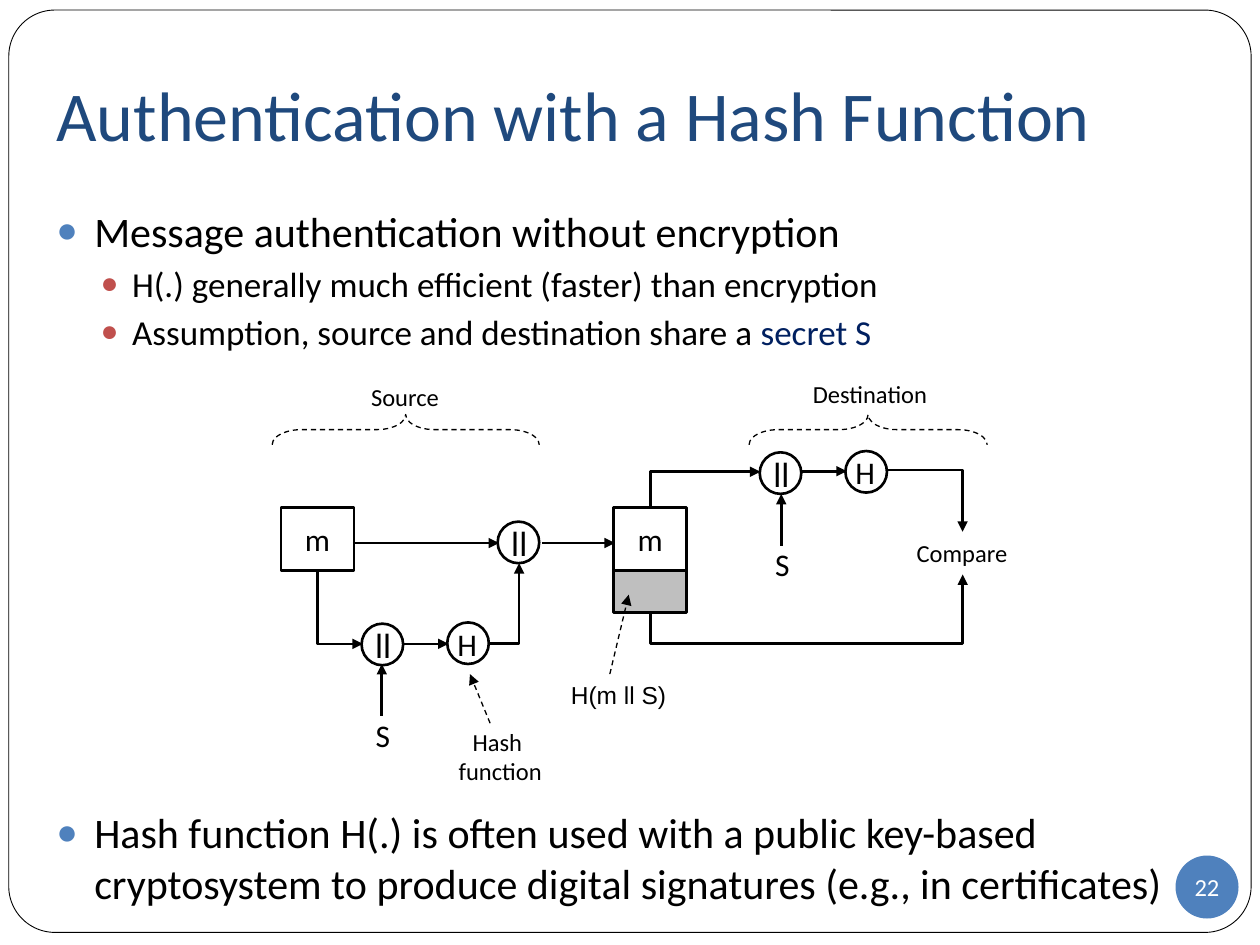
from dataclasses import dataclass

from lxml import etree
from pptx import Presentation
from pptx import util as u
from pptx.dml.color import RGBColor
from pptx.enum import dml, shapes, text
from pptx.oxml import ns


@dataclass(frozen=True)
class Theme:
    font: str = "Calibri"
    formula_font: str = "Arial"
    black: str = "000000"
    white: str = "FFFFFF"
    title: str = "1F497D"
    secret: str = "002060"
    digest: str = "BFBFBF"
    accent: str = "4F81BD"
    sub_bullet: str = "C0504D"
    title_size: int = 40
    body_size: int = 24
    sub_size: int = 20
    node_size: int = 18
    note_size: int = 14
    thick: float = 1.5
    thin: float = 0.75
    frame: float = 0.5


THEME = Theme()
SHAPE = shapes.MSO_SHAPE
ALIGN = text.PP_ALIGN
NODE = 0.33
INSETS = (0.1, 0.05, 0.1, 0.05)


def color(value):
    return RGBColor.from_string(value)


def inches(*values):
    return [u.Inches(value) for value in values]


def add_run(paragraph, words, size, ink=THEME.black, font=THEME.font):
    run = paragraph.add_run()
    run.text = words
    run.font.name = font
    run.font.size = u.Pt(size)
    run.font.color.rgb = color(ink)


def set_frame(frame, insets, anchor, wrap):
    (frame.margin_left, frame.margin_top,
     frame.margin_right, frame.margin_bottom) = inches(*insets)
    frame.vertical_anchor = anchor
    frame.word_wrap = wrap


def add_label(slide, box, lines, size, ink=THEME.black, font=THEME.font,
              align=ALIGN.CENTER, insets=INSETS, anchor=text.MSO_ANCHOR.TOP):
    frame = slide.shapes.add_textbox(*inches(*box)).text_frame
    set_frame(frame, insets, anchor, True)
    for index, words in enumerate(lines):
        paragraph = frame.add_paragraph() if index else frame.paragraphs[0]
        paragraph.alignment = align
        add_run(paragraph, words, size, ink, font)


def add_outline(slide, preset, box, fill=None, weight=THEME.thick):
    outline = slide.shapes.add_shape(preset, *inches(*box))
    outline.shadow.inherit = False
    if fill:
        outline.fill.solid()
        outline.fill.fore_color.rgb = color(fill)
    else:
        outline.fill.background()
    if weight:
        outline.line.color.rgb = color(THEME.black)
        outline.line.width = u.Pt(weight)
    else:
        outline.line.fill.background()
    return outline


def write_inside(outline, words, size, ink=THEME.black, align=ALIGN.CENTER,
                 insets=INSETS, wrap=True):
    set_frame(outline.text_frame, insets, text.MSO_ANCHOR.MIDDLE, wrap)
    paragraph = outline.text_frame.paragraphs[0]
    paragraph.alignment = align
    add_run(paragraph, words, size, ink)


def add_message(slide, left):
    message = add_outline(slide, SHAPE.RECTANGLE, (left, 4.03, 0.58, 0.5))
    write_inside(message, "m", THEME.node_size)


def add_concat(slide, left, top):
    concat = add_outline(slide, SHAPE.OVAL, (left, top, NODE, NODE))
    write_inside(concat, "ll", THEME.sub_size, align=ALIGN.LEFT,
                 insets=(0.06, 0.05, 0.1, 0.05), wrap=False)


def add_hash(slide, left, top):
    add_label(slide, (left, top - 0.03, 0.34, 0.4), ["H"], THEME.node_size,
              align=ALIGN.LEFT, insets=(0.08, 0.05, 0.1, 0.05))
    add_outline(slide, SHAPE.OVAL, (left, top, NODE, NODE))


def add_brace(slide, name, center, span, label_left, label_top):
    add_label(slide, (label_left, label_top, 1.63, 0.34), [name], THEME.note_size)
    depth = 0.24
    brace = add_outline(slide, SHAPE.RIGHT_BRACE,
                        (center - depth / 2, 3.41 - span / 2, depth, span),
                        weight=THEME.thin)
    brace.rotation = 270
    brace.adjustments[0] = 0.96
    brace.line.dash_style = dml.MSO_LINE.DASH


def style_arrow(arrow, dashed=False):
    arrow.line.color.rgb = color(THEME.black)
    arrow.line.width = u.Pt(THEME.thin if dashed else THEME.thick)
    if dashed:
        arrow.line.dash_style = dml.MSO_LINE.DASH
    properties = arrow.element.spPr
    etree.SubElement(properties.find(ns.qn("a:ln")), ns.qn("a:tailEnd"), type="triangle")
    etree.SubElement(properties, ns.qn("a:effectLst"))


def add_arrow(slide, start, end, dashed=False):
    arrow = slide.shapes.add_connector(shapes.MSO_CONNECTOR.STRAIGHT,
                                       *inches(*start, *end))
    style_arrow(arrow, dashed)


def add_elbow(slide, box, rotation=0, flips=(), bend=None):
    left, top, width, height = box
    elbow = slide.shapes.add_connector(shapes.MSO_CONNECTOR.ELBOW,
                                       *inches(left, top, left + width, top + height))
    frame = elbow.element.spPr.find(ns.qn("a:xfrm"))
    frame.set("rot", str(rotation * 60000))
    for flip in flips:
        frame.set(flip, "1")
    geometry = elbow.element.spPr.find(ns.qn("a:prstGeom"))
    if bend is None:
        geometry.set("prst", "bentConnector2")
    else:
        guides = geometry.find(ns.qn("a:avLst"))
        etree.SubElement(guides, ns.qn("a:gd"), name="adj1",
                         fmla=f"val {round(bend * 100000)}")
    style_arrow(elbow)


def add_bullet(paragraph, runs, level, before):
    indent, hanging, ink, size = (
        (0.6, 0.25, THEME.sub_bullet, THEME.sub_size) if level
        else (0.3, 0.3, THEME.accent, THEME.body_size))
    paragraph.level = level
    properties = paragraph._p.get_or_add_pPr()
    properties.set("marL", str(u.Inches(indent)))
    properties.set("indent", str(-u.Inches(hanging)))
    bullet_color = etree.SubElement(properties, ns.qn("a:buClr"))
    etree.SubElement(bullet_color, ns.qn("a:srgbClr"), val=ink)
    etree.SubElement(properties, ns.qn("a:buSzPct"), val="85000")
    etree.SubElement(properties, ns.qn("a:buFont"), typeface=THEME.formula_font)
    etree.SubElement(properties, ns.qn("a:buChar"), char="●")
    if before:
        paragraph.space_before = u.Pt(before)
    for words, run_ink in runs:
        add_run(paragraph, words, size, run_ink)


def add_points(slide):
    frame = slide.shapes.add_textbox(*inches(0.35, 1.58, 9.37, 5.63)).text_frame
    set_frame(frame, INSETS, text.MSO_ANCHOR.TOP, True)
    points = [
        (0, 0, [("Message authentication without encryption", THEME.black)]),
        (1, 3.7, [("H(.) generally much efficient (faster) than encryption", THEME.black)]),
        (1, 3.7, [("Assumption, source and destination share a ", THEME.black),
                  ("secret S", THEME.secret)]),
        (0, 259.5, [("Hash function H(.) is often used with a public key-based "
                     "cryptosystem to produce digital signatures "
                     "(e.g., in certificates)", THEME.black)]),
    ]
    for index, (level, before, runs) in enumerate(points):
        paragraph = frame.add_paragraph() if index else frame.paragraphs[0]
        add_bullet(paragraph, runs, level, before)


def add_diagram(slide):
    for left in (2.23, 4.87):
        add_message(slide, left)
    add_outline(slide, SHAPE.RECTANGLE, (4.87, 4.53, 0.58, 0.33), THEME.digest)
    for left, top in ((3.95, 4.14), (2.87, 4.95), (6.03, 3.59)):
        add_concat(slide, left, top)
    for left, top in ((3.55, 4.94), (6.71, 3.58)):
        add_hash(slide, left, top)
    for left, top in ((2.81, 5.63), (5.98, 4.28)):
        add_label(slide, (left, top, 0.46, 0.4), ["S"], THEME.node_size)
        add_arrow(slide, (left + 0.22, top + 0.05), (left + 0.22, top - 0.36))
    for start, end, y in ((2.8, 3.96, 4.31), (4.3, 4.88, 4.31),
                          (3.2, 3.56, 5.11), (6.36, 6.72, 3.74)):
        add_arrow(slide, (start, y), (end, y))
    add_elbow(slide, (2.41, 4.64, 0.58, 0.36), 270, ("flipH",))
    add_elbow(slide, (3.89, 4.47, 0.23, 0.64), 0, ("flipV",))
    add_elbow(slide, (5.46, 3.45, 0.28, 0.87), 90, ("flipH", "flipV"))
    add_elbow(slide, (7.04, 3.73, 0.6, 0.49))
    add_elbow(slide, (6.25, 3.47, 0.3, 2.48), 90, ("flipH", "flipV"), bend=-0.83)
    add_brace(slide, "Source", 3.22, 2.12, 2.4, 2.98)
    add_brace(slide, "Destination", 6.89, 1.89, 6.09, 2.96)
    add_label(slide, (7.12, 4.22, 1.03, 0.34), ["Compare"], THEME.note_size,
              insets=(0, 0.05, 0, 0.05))
    add_label(slide, (3.5, 5.72, 0.94, 0.57), ["Hash ", "function"], THEME.note_size)
    add_label(slide, (4.36, 5.35, 1.1, 0.34), ["H(m ll S)"], THEME.note_size,
              font=THEME.formula_font)
    add_arrow(slide, (3.89, 5.74), (3.73, 5.35), dashed=True)
    add_arrow(slide, (4.84, 5.35), (4.99, 4.72), dashed=True)


def main():
    deck = Presentation()
    deck.slide_width, deck.slide_height = inches(10, 7.5)
    slide = deck.slides.add_slide(deck.slide_layouts[6])
    border = add_outline(slide, SHAPE.ROUNDED_RECTANGLE, (0.07, 0.08, 9.86, 7.32),
                         THEME.white, THEME.frame)
    border.adjustments[0] = 0.05
    add_points(slide)
    add_label(slide, (0.35, 0.3, 9.37, 1.25), ["Authentication with a Hash Function"],
              THEME.title_size, THEME.title, align=ALIGN.LEFT,
              insets=(0.1, 0.05, 0.1, 0.1), anchor=text.MSO_ANCHOR.MIDDLE)
    page = add_outline(slide, SHAPE.OVAL, (9.33, 6.79, 0.5, 0.5), THEME.accent, None)
    write_inside(page, "22", THEME.note_size, THEME.white, insets=(0, 0, 0, 0), wrap=False)
    add_diagram(slide)
    deck.save("out.pptx")


if __name__ == "__main__":
    main()
